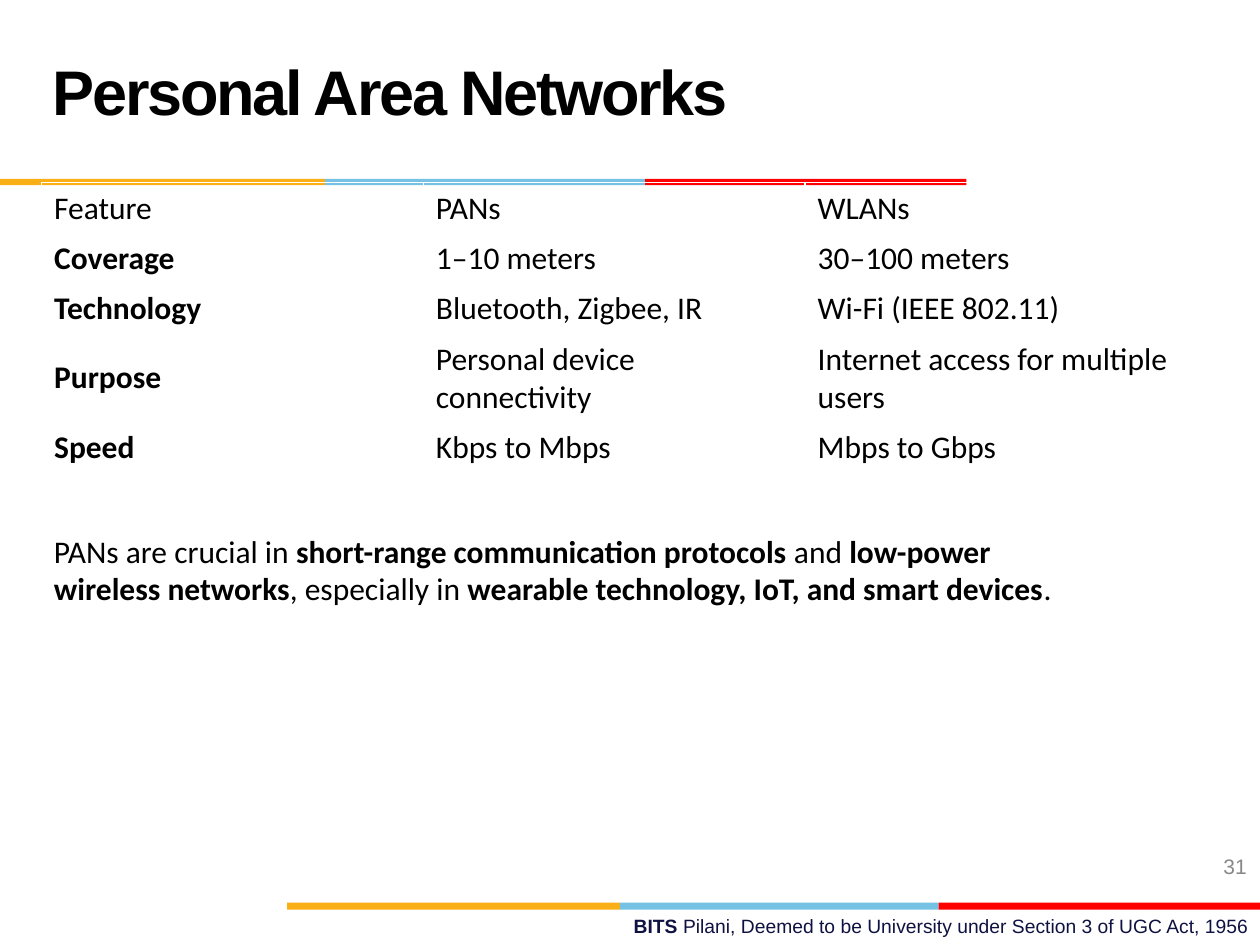
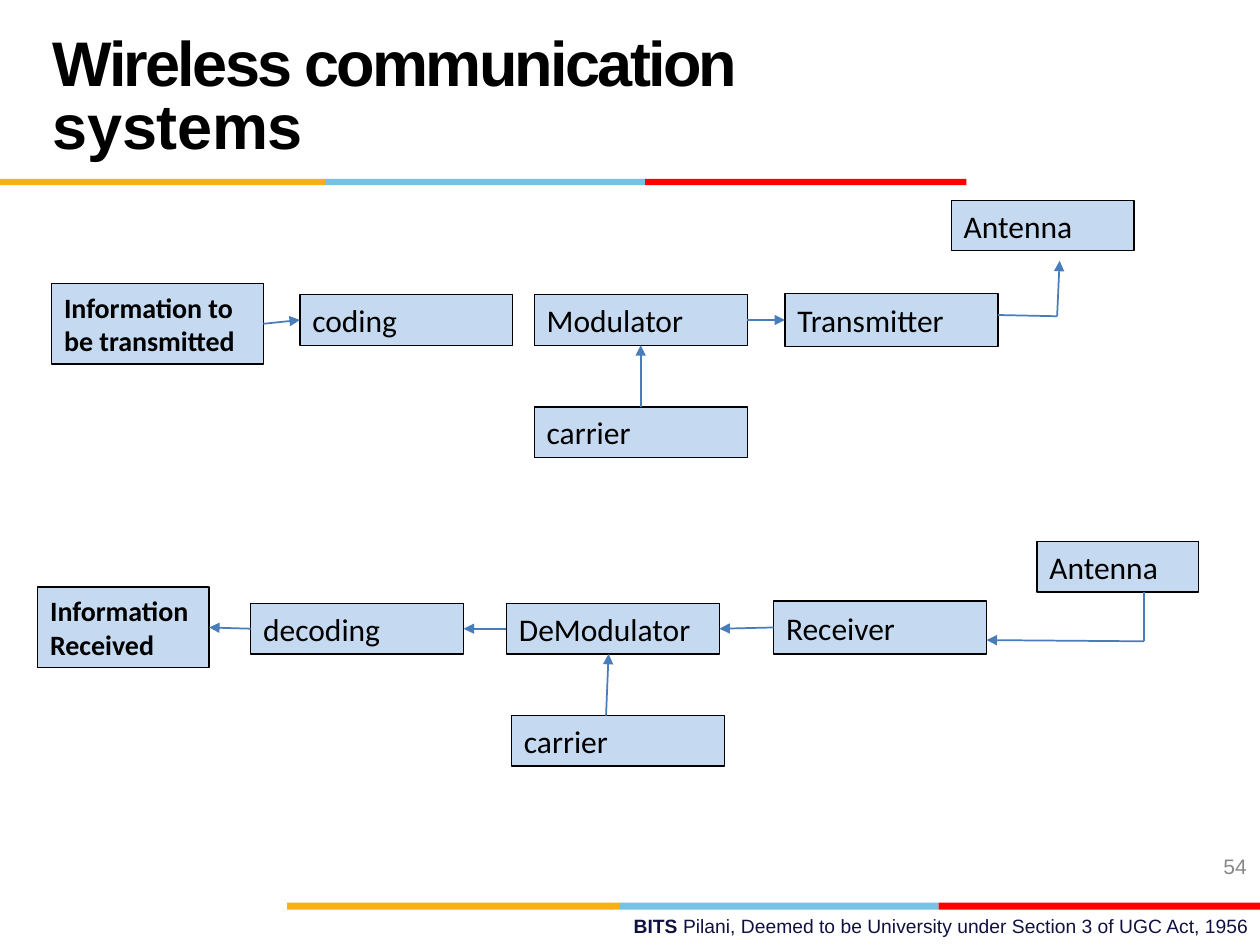
from dataclasses import dataclass

import lxml.etree
import pptx
import pptx.dml.color
import pptx.enum.shapes
import pptx.enum.text
import pptx.oxml.ns
import pptx.util

BLACK = pptx.dml.color.RGBColor(0x00, 0x00, 0x00)
GOLD = pptx.dml.color.RGBColor(0xFB, 0xAF, 0x17)
SKY = pptx.dml.color.RGBColor(0x76, 0xC2, 0xE4)
RED = pptx.dml.color.RGBColor(0xFF, 0x00, 0x00)
NAVY = pptx.dml.color.RGBColor(0x0F, 0x11, 0x41)
GREY = pptx.dml.color.RGBColor(0x88, 0x88, 0x88)
NODE_FILL = pptx.dml.color.RGBColor(0xC5, 0xD9, 0xF0)
ARROW = pptx.dml.color.RGBColor(0x49, 0x7D, 0xBA)

COLS, ROWS = 100, 75
UNIT = pptx.util.Inches(0.1)
RECTANGLE = pptx.enum.shapes.MSO_SHAPE.RECTANGLE
STRAIGHT = pptx.enum.shapes.MSO_CONNECTOR.STRAIGHT
MIDDLE = pptx.enum.text.MSO_ANCHOR.MIDDLE
TOP, LEFT, BOTTOM, RIGHT = range(4)


@dataclass
class Box:
    col: float
    row: float
    cols: float
    rows: float

    def inner(self, col, row, cols, rows):
        return Box(self.col + col, self.row + row, cols, rows)

    def point(self, col, row):
        return round((self.col + col) * UNIT), round((self.row + row) * UNIT)

    def emu(self):
        return *self.point(0, 0), round(self.cols * UNIT), round(self.rows * UNIT)


def set_margins(tf, left=0.0, top=0.0):
    tf.margin_left, tf.margin_top = pptx.util.Inches(left), pptx.util.Inches(top)
    tf.margin_right = tf.margin_bottom = 0
    tf.word_wrap = True


def style_paragraph(p, size, color=BLACK, name="Calibri"):
    p.font.size = pptx.util.Pt(size)
    p.font.name = name
    p.font.color.rgb = color


def add_runs(p, *parts):
    for text, bold in parts:
        r = p.add_run()
        r.text = text
        r.font.bold = bold


def add_text(s, box):
    tf = s.shapes.add_textbox(*box.emu()).text_frame
    tf.word_wrap = True
    return tf


def add_rectangle(s, box, color):
    sp = s.shapes.add_shape(RECTANGLE, *box.emu())
    sp.shadow.inherit = False
    sp.fill.solid()
    sp.fill.fore_color.rgb = color
    sp.line.fill.background()
    return sp


def add_band(s, box, stops):
    for start, end, color in zip(stops, stops[1:], (GOLD, SKY, RED)):
        add_rectangle(s, box.inner(start, 0, end - start, box.rows), color)


def add_title(s, box, top, runs):
    sp = s.shapes.title
    sp.left, sp.top, sp.width, sp.height = box.emu()
    tf = sp.text_frame
    tf.auto_size = pptx.enum.text.MSO_AUTO_SIZE.NONE
    tf.vertical_anchor = pptx.enum.text.MSO_ANCHOR.TOP
    set_margins(tf, top=top)
    p = tf.paragraphs[0]
    p.alignment = pptx.enum.text.PP_ALIGN.LEFT
    p.line_spacing = pptx.util.Pt(36)
    style_paragraph(p, 36, name="Arial")
    p.font.bold = True
    for text, spacing in runs:
        r = p.add_run()
        r.text = text
        r.font.bold = True
        r._r.get_or_add_rPr().set("spc", str(spacing))


def add_footer(s, box, number):
    tf = add_text(s, box.inner(96.7, 0, 3.3, 2.1))
    set_margins(tf, left=0.04)
    p = tf.paragraphs[0]
    p.text = number
    style_paragraph(p, 12, GREY, "Arial")

    add_band(s, box.inner(0, 3.95, COLS, 0.55), (22.8, 49.2, 74.5, COLS))

    tf = add_text(s, box.inner(50.2, 4.9, 49.7, 2))
    set_margins(tf, left=0.01)
    p = tf.paragraphs[0]
    style_paragraph(p, 11, NAVY, "Arial")
    add_runs(p, ("BITS ", True),
             ("Pilani, Deemed to be University under Section 3 of UGC Act, 1956", False))


def add_slide(prs, title_top, title_runs, number):
    s = prs.slides.add_slide(prs.slide_layouts[5])
    add_band(s, Box(0, 14.2, COLS, 0.5), (0, 25.8, 51.2, 76.7))
    add_title(s, Box(4.2, 1.6, 66.6, 11.3), title_top, title_runs)
    add_footer(s, Box(0, 67.7, COLS, 7.3), number)
    return s


def add_feature_table(s, box, records):
    table = s.shapes.add_table(len(records), len(records[0]), *box.emu()).table
    table.first_row = table.horz_banding = False
    for row, record in zip(table.rows, records):
        row.height = round((7 if record[0] == "Purpose" else 4) * UNIT)
        for i, (cell, text) in enumerate(zip(row.cells, record)):
            cell.fill.background()
            cell.vertical_anchor = MIDDLE
            p = cell.text_frame.paragraphs[0]
            style_paragraph(p, 18)
            add_runs(p, (text, i == 0 and text != "Feature"))


def add_summary(s, box):
    p = add_text(s, box).paragraphs[0]
    style_paragraph(p, 18)
    add_runs(p, ("PANs are crucial in ", False),
             ("short-range communication protocols", True),
             (" and ", False),
             ("low-power wireless networks", True),
             (", especially in ", False),
             ("wearable technology, IoT, and smart devices", True),
             (".", False))


def add_node(s, box, text):
    sp = add_rectangle(s, box, NODE_FILL)
    sp.line.color.rgb = BLACK
    sp.line.width = pptx.util.Pt(0.75)
    tf = sp.text_frame
    set_margins(tf, left=0.1)
    tf.vertical_anchor = MIDDLE
    tf.text = text
    two_lines = len(tf.paragraphs) > 1
    for p in tf.paragraphs:
        p.alignment = pptx.enum.text.PP_ALIGN.LEFT
        style_paragraph(p, 16 if two_lines else 18)
        for r in p.runs:
            r.font.bold = two_lines
    return sp


def add_line(s, start, end, arrow):
    line = s.shapes.add_connector(STRAIGHT, *start, *end)
    line.line.color.rgb = ARROW
    line.line.width = pptx.util.Pt(1)
    if arrow:
        ln = line.line._get_or_add_ln()
        lxml.etree.SubElement(ln, pptx.oxml.ns.qn("a:tailEnd"), type="triangle")
    lxml.etree.SubElement(line._element.spPr, pptx.oxml.ns.qn("a:effectLst"))
    return line


def add_chain(s, box, nodes, links, lines):
    shapes = {text: add_node(s, box.inner(*place), text) for text, place in nodes.items()}
    for source, source_side, target, target_side in links:
        line = add_line(s, (0, 0), (0, 0), True)
        line.begin_connect(shapes[source], source_side)
        line.end_connect(shapes[target], target_side)
    for start, end, arrow in lines:
        add_line(s, box.point(*start), box.point(*end), arrow)


def add_networks_slide(prs):
    s = add_slide(prs, 0.36, [("Personal Area Networks", -130)], "31")
    add_feature_table(s, Box(3.3, 14.5, 90.9, 23), [
        ("Feature", "PANs", "WLANs"),
        ("Coverage", "1–10 meters", "30–100 meters"),
        ("Technology", "Bluetooth, Zigbee, IR", "Wi-Fi (IEEE 802.11)"),
        ("Purpose", "Personal device connectivity", "Internet access for multiple users"),
        ("Speed", "Kbps to Mbps", "Mbps to Gbps"),
    ])
    add_summary(s, Box(3.3, 41.7, 83.3, 10.1))


def add_systems_slide(prs):
    s = add_slide(prs, 0.13, [("Wireless communication ", -155), ("systems", -20)], "54")
    sent = "Information to\nbe transmitted"
    add_chain(
        s, Box(4, 15.9, 86, 20.5),
        {sent: (0.1, 6.6, 16.8, 6.4),
         "coding": (19.8, 7.5, 16.9, 4),
         "Modulator": (38.4, 7.5, 16.9, 4),
         "Transmitter": (58.3, 7.4, 16.9, 4.2),
         "Antenna": (71.5, 0, 14.5, 4),
         "carrier": (38.4, 16.4, 16.9, 4)},
        [(sent, RIGHT, "coding", LEFT),
         ("Modulator", RIGHT, "Transmitter", LEFT),
         ("carrier", TOP, "Modulator", BOTTOM)],
        [((75.2, 9.1), (79.9, 9.2), False),
         ((79.9, 9.2), (80.1, 4.8), True)])
    received = "Information\nReceived"
    add_chain(
        s, Box(3, 43, 92.1, 17.8),
        {received: (0, 3.6, 13.6, 6.4),
         "decoding": (16.9, 4.9, 16.9, 4),
         "DeModulator": (37.2, 4.9, 16.9, 4),
         "Receiver": (58.4, 4.7, 16.9, 4.2),
         "Antenna": (79.3, 0, 12.8, 4),
         "carrier": (37.6, 13.8, 16.9, 4)},
        [("Receiver", LEFT, "DeModulator", RIGHT),
         ("DeModulator", LEFT, "decoding", RIGHT),
         ("decoding", LEFT, received, RIGHT)],
        [((45.1, 13.8), (45.3, 8.9), True),
         ((87.8, 4), (87.8, 7.9), False),
         ((87.8, 7.9), (75.3, 7.8), True)])


def main():
    prs = pptx.Presentation()
    prs.slide_width, prs.slide_height = COLS * UNIT, ROWS * UNIT
    add_networks_slide(prs)
    add_systems_slide(prs)
    prs.save("out.pptx")


if __name__ == "__main__":
    main()
